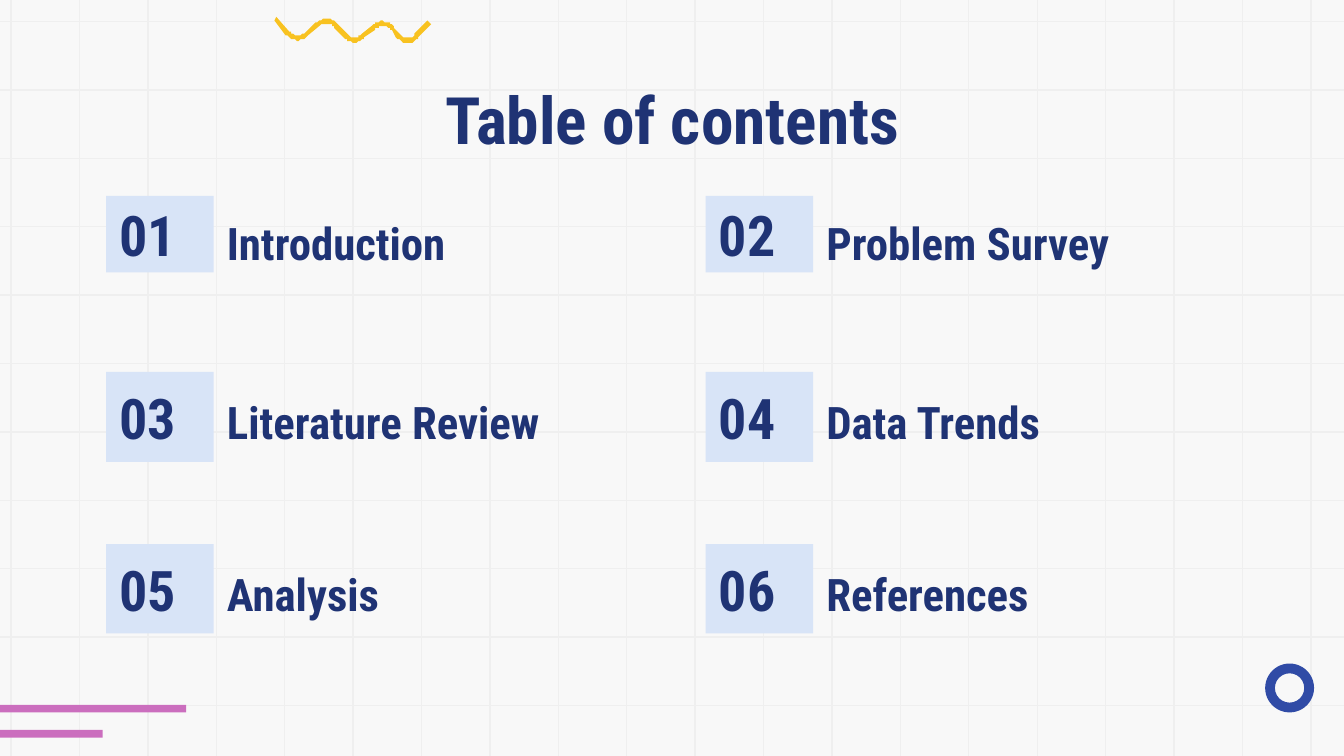
from pptx import Presentation
from pptx.dml.color import RGBColor
from pptx.enum.shapes import MSO_CONNECTOR, MSO_SHAPE
from pptx.enum.text import MSO_ANCHOR, MSO_AUTO_SIZE, PP_ALIGN
from pptx.oxml.ns import qn
from pptx.util import Pt
from lxml import etree

STRAIGHT = MSO_CONNECTOR.STRAIGHT
RECTANGLE, DONUT = MSO_SHAPE.RECTANGLE, MSO_SHAPE.DONUT
TOP, MIDDLE = MSO_ANCHOR.TOP, MSO_ANCHOR.MIDDLE
LEFT, CENTER = PP_ALIGN.LEFT, PP_ALIGN.CENTER
NO_AUTOFIT = MSO_AUTO_SIZE.NONE

WIDTH, HEIGHT = 720, 405
NAVY = "1F3374"


def color(value):
    return RGBColor.from_string(value)


def write(box, text, size, align=LEFT, anchor=MIDDLE, spacing=1.0):
    frame = box.text_frame
    frame_format = {
        "word_wrap": True, "auto_size": NO_AUTOFIT, "vertical_anchor": anchor,
        "margin_left": Pt(7.2), "margin_right": Pt(7.2),
        "margin_top": Pt(7.2), "margin_bottom": Pt(7.2),
    }
    for name, value in frame_format.items():
        setattr(frame, name, value)
    para = frame.paragraphs[0]
    para_format = {"alignment": align, "line_spacing": spacing,
                   "space_before": Pt(0), "space_after": Pt(0)}
    for name, value in para_format.items():
        setattr(para, name, value)
    span = para.add_run()
    span.text = text
    for name, value in {"name": "Roboto Condensed", "size": Pt(size), "bold": True}.items():
        setattr(span.font, name, value)
    span.font.color.rgb = color(NAVY)


deck = Presentation()
deck.slide_width, deck.slide_height = Pt(WIDTH), Pt(HEIGHT)
page = deck.slides.add_slide(deck.slide_layouts[5])
page.background.fill.solid()
page.background.fill.fore_color.rgb = color("F8F8F8")

# Squared paper
STEP = 36.65
grid = [(0, 11.5 + STEP * row, WIDTH, 11.5 + STEP * row) for row in range(11)]
grid += [(5.9 + STEP * column, 0, 5.9 + STEP * column, HEIGHT) for column in range(20)]
for ends in grid:
    rule = page.shapes.add_connector(STRAIGHT, *[Pt(end) for end in ends])
    rule.line.color.rgb = color("EFEFEF")
    rule.line.width = Pt(0.75)
    etree.SubElement(rule._element.spPr, qn("a:effectLst"))

# Corner bars and ring
ornaments = []
for kind, left, top, width, height, fill in [
    (RECTANGLE, 0, 377.7, 99.7, 4, "CB6EBE"),
    (RECTANGLE, 0, 391.1, 55, 4.2, "CB6EBE"),
    (DONUT, 677.8, 355.5, 26.2, 26.2, "304BA6"),
]:
    ornament = page.shapes.add_shape(kind, Pt(left), Pt(top), Pt(width), Pt(height))
    ornaments.append((ornament, fill))
ornaments[-1][0].adjustments[0] = 0.2

# Squiggle outline: pairs are straight steps, sextets are Bezier curves
squiggle = [
    (148.3, 9.4), (146.9, 10.8), (153.4, 18.7),
    (154.8, 20.6, 157, 21.6, 159.6, 21.6), (161.5, 21.6, 163.4, 20.9, 164.9, 19.4),
    (171.4, 13.7), (172.4, 13, 173.5, 12.7, 175, 12.7), (176.8, 12.8, 178.3, 13.4, 179.3, 14.6),
    (183.9, 19.6), (185.2, 21.4, 187.2, 22.5, 189.4, 22.7), (191.5, 22.8, 193.7, 22, 195.3, 20.5),
    (201, 15.6), (202.3, 14.4, 203.8, 13.9, 205.4, 14), (207, 14.2, 208.5, 15, 209.5, 16.3),
    (211.9, 19.5), (213.3, 21.5, 215.6, 22.8, 218, 22.9), (220.4, 23, 222.8, 22, 224.5, 20.2),
    (231.1, 13), (229, 11.3), (222.5, 18.4),
    (221.3, 19.7, 219.8, 20.3, 218.1, 20.2), (216.3, 20.1, 214.8, 19.3, 213.7, 17.8),
    (211.2, 14.6), (209.8, 12.8, 207.7, 11.6, 205.4, 11.4), (203.2, 11.3, 201, 12, 199.4, 13.5),
    (193.7, 18.5), (192.6, 19.5, 191.1, 20.1, 189.6, 20), (188.1, 19.9, 186.7, 19.2, 185.7, 18),
    (181, 12.8), (179.5, 11.2, 177.5, 10.2, 175.2, 10.1), (173, 10, 170.9, 10.7, 169.2, 12.1),
    (162.8, 17.8), (161.9, 18.6, 160.8, 18.9, 159.7, 18.8), (158, 18.8, 156.5, 18.1, 155.4, 17),
]
points = []
for step in squiggle:
    if len(step) == 2:
        points.append(step)
        continue
    x, y = points[-1]
    for t in [part / 8 for part in range(1, 9)]:
        weights = ((1 - t) ** 3, 3 * t * (1 - t) ** 2, 3 * t ** 2 * (1 - t), t ** 3)
        points.append(tuple(sum(weight * value for weight, value in zip(weights, values))
                            for values in ((x, *step[::2]), (y, *step[1::2]))))
outline = page.shapes.build_freeform(*points[0], scale=Pt(1))
outline.add_line_segments(points[1:], close=True)
ornaments.append((outline.convert_to_shape(), "F8C220"))

# Title, raised above the grid
title = page.shapes.title
title.left, title.top, title.width, title.height = Pt(56.9), Pt(35.3), Pt(607), Pt(45.4)
write(title, "Table of contents", 35, CENTER, TOP)
page.shapes._spTree.append(title._element)

# Numbered topics, two per row
topics = ["Introduction", "Problem Survey", "Literature Review",
          "Data Trends", "Analysis", "References"]
columns = [56.9, 378]
rows = [(105, 41, 109.4, 36.7), (199.3, 48.2, 199.3, 48.6), (291.5, 47.9, 291.5, 49)]
for index, topic in enumerate(topics):
    left = columns[index % 2]
    tile_top, tile_height, label_top, label_height = rows[index // 2]
    tile = page.shapes.add_shape(RECTANGLE, Pt(left), Pt(tile_top), Pt(57.6), Pt(tile_height))
    write(tile, f"{index + 1:02}", 30)
    ornaments.append((tile, "D8E4F7"))
    label = page.shapes.add_textbox(Pt(left + 57.6), Pt(label_top), Pt(227.5), Pt(label_height))
    write(label, topic, 24, spacing=1.15)

# Flat fills for every shape
for shape, fill in ornaments:
    shape.shadow.inherit = False
    shape.fill.solid()
    shape.fill.fore_color.rgb = color(fill)
    shape.line.fill.background()

deck.save("out.pptx")
